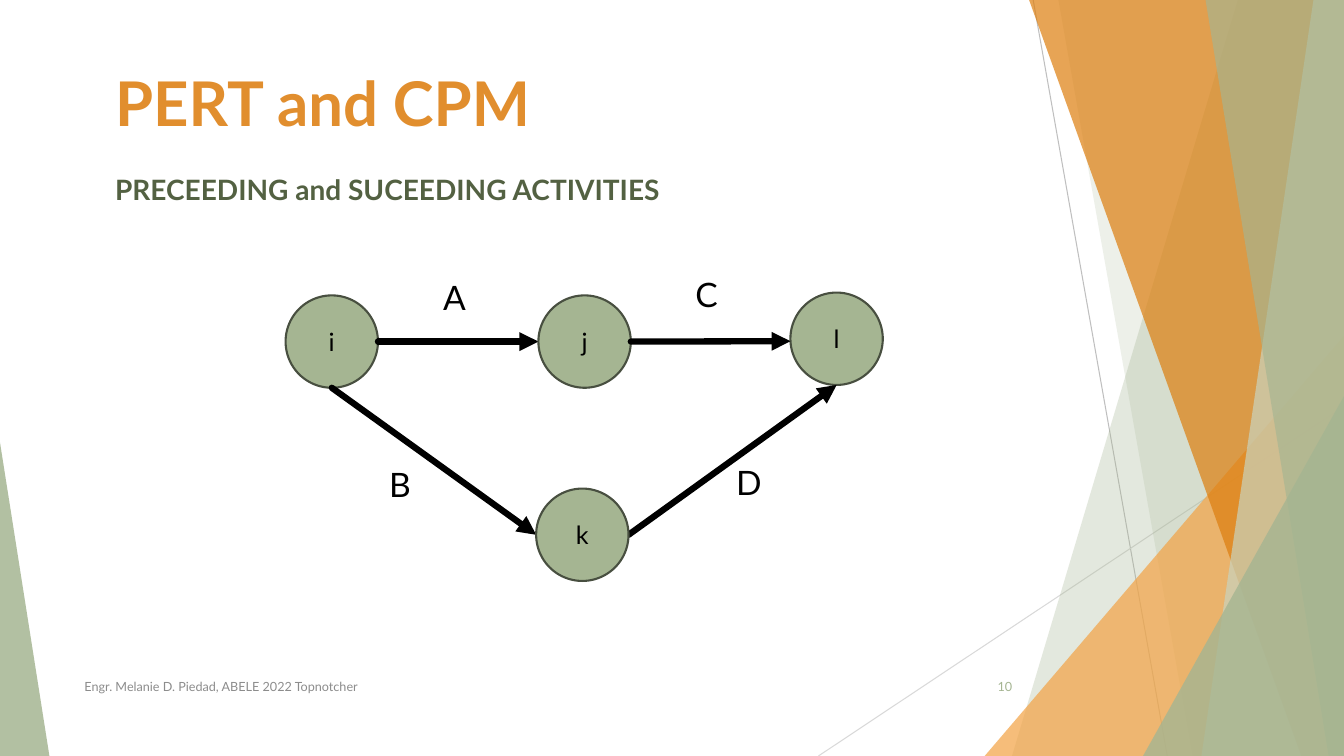
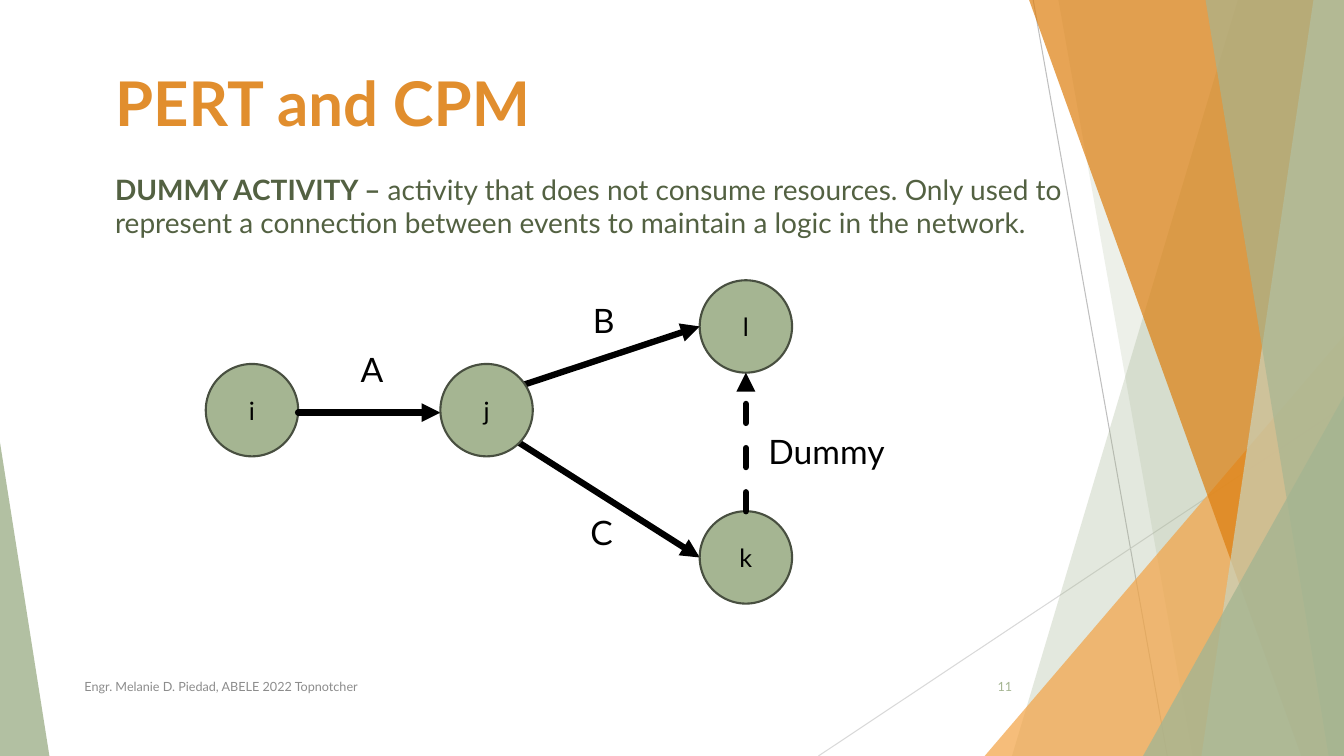
from math import cos, radians, sin

from lxml import etree
from pptx import Presentation
from pptx.dml.color import RGBColor
from pptx.enum.dml import MSO_LINE
from pptx.enum.shapes import MSO_CONNECTOR, MSO_SHAPE
from pptx.enum.text import MSO_ANCHOR, MSO_AUTO_SIZE, PP_ALIGN
from pptx.oxml.ns import qn
from pptx.util import Pt

STRAIGHT = MSO_CONNECTOR.STRAIGHT
OVAL, TRIANGLE = MSO_SHAPE.OVAL, MSO_SHAPE.ISOSCELES_TRIANGLE
TOP, MIDDLE = MSO_ANCHOR.TOP, MSO_ANCHOR.MIDDLE
LEFT_ALIGN, CENTER, RIGHT_ALIGN, JUSTIFY = (
    PP_ALIGN.LEFT, PP_ALIGN.CENTER, PP_ALIGN.RIGHT, PP_ALIGN.JUSTIFY)
NO_FIT = MSO_AUTO_SIZE.NONE
DASH = MSO_LINE.DASH

SAGE = RGBColor(0xA5, 0xB5, 0x92)
PALE_SAGE = RGBColor(0xC9, 0xD3, 0xBE)
DARK_SAGE = RGBColor(0x48, 0x4F, 0x40)
MOSS = RGBColor(0x53, 0x61, 0x42)
AMBER = RGBColor(0xF3, 0xA4, 0x47)
ORANGE = RGBColor(0xDD, 0x7E, 0x0E)
TITLE_ORANGE = RGBColor(0xE1, 0x8E, 0x2E)
GREY = RGBColor(0x8C, 0x8C, 0x8C)
MID_GREY = RGBColor(0xBF, 0xBF, 0xBF)
LIGHT_GREY = RGBColor(0xD9, 0xD9, 0xD9)
BLACK = RGBColor(0, 0, 0)

FONT = "Lato"
WIDTH, HEIGHT = 960, 540
RADIUS = 33
RIGHT, DOWN, LEFT = 0, 90, 180
UP = 270
FOOTER = "Engr. Melanie D. Piedad, ABELE 2022 Topnotcher"


class Deck:
    def __init__(self):
        self.prs = Presentation()
        self.prs.slide_width, self.prs.slide_height = Pt(WIDTH), Pt(HEIGHT)
        self.layout = self.prs.slide_layouts[1]
        self.s = None

    def new_slide(self, title, body, number):
        first = self.s is None
        self.s = self.prs.slides.add_slide(self.layout)
        if first:
            self.decorate_layout()
        self.placeholder(self.s.shapes.title, 42.5, 60, [(title, True)],
                         44, TITLE_ORANGE, LEFT_ALIGN)
        self.placeholder(self.s.placeholders[1], 119.5, 60, body,
                         20, MOSS, JUSTIFY)
        self.text(53.3, 476, 496, 28.8, FOOTER, 9, GREY, LEFT_ALIGN, MIDDLE)
        self.text(676, 476, 54, 28.8, str(number), 9, SAGE, RIGHT_ALIGN, MIDDLE)

    def decorate_layout(self):
        parts = [
            self.line((738, 0), (833.8, HEIGHT), MID_GREY, 0.75),
            self.line((WIDTH, 290.2), (584.6, HEIGHT), LIGHT_GREY, 0.75),
            self.band(884.2, 722.9, SAGE, 30),
            self.band(756, 851.8, SAGE, 20),
            self.wedge(703.4, 239.8, 256.6, 1, AMBER, 72),
            self.band(735.1, 929.5, ORANGE, 70),
            self.band(938.2, 858.2, PALE_SAGE, 70),
            self.band(861.1, 949, SAGE, 65),
            self.wedge(816.5, 283, 143.5, 1, SAGE, 80),
            self.wedge(0, 316.1, 35.3, 0, SAGE, 85),
        ]
        for number, part in enumerate(parts, 100):
            part.element.find(".//" + qn("p:cNvPr")).set("id", str(number))
            self.layout.shapes.element.append(part.element)

    def tint(self, sp, color, opacity):
        sp.shadow.inherit = False
        sp.fill.solid()
        sp.fill.fore_color.rgb = color
        sp.line.fill.background()
        clr = sp.element.spPr.find(".//" + qn("a:srgbClr"))
        etree.SubElement(clr, qn("a:alpha"), val=str(opacity * 1000))
        return sp

    def band(self, top_x, bottom_x, color, opacity):
        outline = self.s.shapes.build_freeform(Pt(top_x), 0)
        outline.add_line_segments([
            (Pt(WIDTH), 0), (Pt(WIDTH), Pt(HEIGHT)), (Pt(bottom_x), Pt(HEIGHT))])
        return self.tint(outline.convert_to_shape(), color, opacity)

    def wedge(self, x, y, w, apex, color, opacity):
        sp = self.s.shapes.add_shape(
            TRIANGLE, Pt(x), Pt(y), Pt(w), Pt(HEIGHT - y))
        sp.adjustments[0] = apex
        return self.tint(sp, color, opacity)

    def line(self, start, end, color, width):
        cxn = self.s.shapes.add_connector(
            STRAIGHT, *(Pt(v) for v in (*start, *end)))
        cxn.line.color.rgb = color
        cxn.line.width = Pt(width)
        etree.SubElement(cxn.element.spPr, qn("a:effectLst"))
        return cxn

    def run(self, p, text, size, color, bold=False):
        r = p.add_run()
        r.text = text
        r.font.name, r.font.size, r.font.bold = FONT, Pt(size), bold
        r.font.color.rgb = color

    def placeholder(self, sp, y, h, runs, size, color, align):
        sp.left, sp.top, sp.width, sp.height = Pt(75), Pt(y), Pt(691), Pt(h)
        tf = sp.text_frame
        tf.auto_size, tf.vertical_anchor, tf.word_wrap = NO_FIT, TOP, True
        p = tf.paragraphs[0]
        p.alignment, p.space_before, p.line_spacing = align, Pt(0), 1.0
        pPr = p._p.get_or_add_pPr()
        pPr.set("marL", "0")
        pPr.set("indent", "0")
        etree.SubElement(pPr, qn("a:buNone"))
        for text, bold in runs:
            self.run(p, text, size, color, bold)

    def text(self, x, y, w, h, text, size, color, align, anchor=TOP):
        sp = self.s.shapes.add_textbox(Pt(x), Pt(y), Pt(w), Pt(h))
        tf = sp.text_frame
        tf.word_wrap, tf.vertical_anchor = True, anchor
        p = tf.paragraphs[0]
        p.alignment = align
        self.run(p, text, size, color)

    def label(self, text, x, y, w=39):
        self.text(x - w / 2, y, w, 36, text, 24, BLACK, CENTER)

    def event(self, text, center):
        x, y = center
        sp = self.s.shapes.add_shape(OVAL, Pt(x - RADIUS), Pt(y - RADIUS),
                                     Pt(2 * RADIUS), Pt(2 * RADIUS))
        sp.shadow.inherit = False
        sp.fill.solid()
        sp.fill.fore_color.rgb = SAGE
        sp.line.color.rgb = DARK_SAGE
        sp.line.width = Pt(1.5)
        tf = sp.text_frame
        tf.vertical_anchor = MIDDLE
        p = tf.paragraphs[0]
        p.alignment = CENTER
        self.run(p, text, 18, BLACK)

    def activity(self, start, start_angle, end, end_angle, dash=None):
        cxn = self.line(rim(start, start_angle), rim(end, end_angle), BLACK, 4.5)
        if dash is not None:
            cxn.line.dash_style = dash
        ln = cxn.element.spPr.find(qn("a:ln"))
        ln.set("cap", "rnd")
        etree.SubElement(ln, qn("a:tailEnd"), type="triangle")


def rim(center, angle):
    x, y = center
    a = radians(angle)
    return x + RADIUS * cos(a), y + RADIUS * sin(a)


def precedence_slide(deck):
    deck.new_slide("PERT and CPM",
                   [("PRECEEDING and SUCEEDING ACTIVITIES", True)], 10)
    i, j, k, l = (237, 244), (417.6, 244), (416, 382), (597.6, 242)
    deck.event("i", i)
    deck.event("l", l)
    deck.activity(i, RIGHT, j, LEFT)
    deck.activity(k, RIGHT, l, DOWN)
    deck.activity(i, DOWN, k, LEFT)
    deck.event("j", j)
    deck.event("k", k)
    deck.activity(j, RIGHT, l, 177)
    for text, x, y in (("A", 324.7, 194.4), ("C", 504.7, 192.2),
                       ("B", 285.8, 327.6), ("D", 535, 326.2)):
        deck.label(text, x, y)


def dummy_slide(deck):
    deck.new_slide("PERT and CPM", [
        ("DUMMY ACTIVITY – ", True),
        ("activity that does not consume resources. Only used to represent a "
         "connection between events to maintain a logic in the network.", False),
    ], 11)
    i, j, k, l = (180, 293), (347.6, 293), (532.8, 398.2), (532.8, 233.2)
    deck.event("i", i)
    deck.event("l", l)
    deck.activity(i, 3, j, 177)
    deck.activity(j, -34, l, LEFT)
    deck.activity(j, 45, k, LEFT)
    deck.event("j", j)
    deck.event("k", k)
    deck.activity(k, UP, l, DOWN, DASH)
    for text, x, y in (("A", 265.7, 245.5), ("C", 429.8, 362.2),
                       ("B", 431.3, 211)):
        deck.label(text, x, y)
    deck.label("Dummy", 590.4, 304.6, 161)


def main():
    deck = Deck()
    precedence_slide(deck)
    dummy_slide(deck)
    deck.prs.save("out.pptx")


if __name__ == "__main__":
    main()
